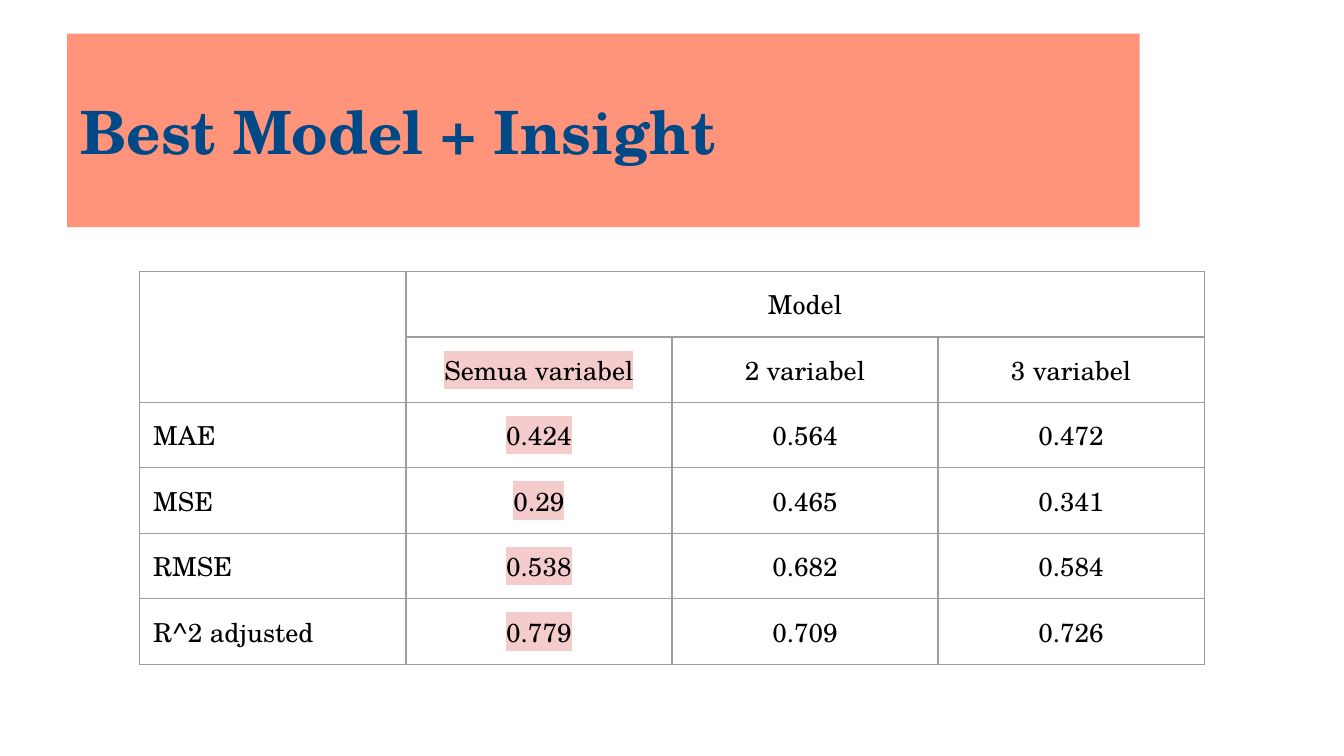
from lxml.etree import SubElement as Sub, Element as Elem
from pptx import Presentation
from pptx.dml.color import RGBColor as Rgb
from pptx.enum.shapes import MSO_SHAPE as Kind
from pptx.enum.text import MSO_ANCHOR as Anchor, PP_ALIGN as Align
from pptx.oxml.ns import qn
from pptx.util import Inches as Inch, Pt

title = "Best Model + Insight"
head = "Model"
names = ["Semua variabel", "2 variabel", "3 variabel"]
best = names[0]
scores = [
    ("MAE", "0.424", "0.564", "0.472"),
    ("MSE", "0.29", "0.465", "0.341"),
    ("RMSE", "0.538", "0.682", "0.584"),
    ("R^2 adjusted", "0.779", "0.709", "0.726"),
]
theme = dict(font="TeX Gyre Schola", band="FF947B", title="004987", text="000000",
             mark="F4CCCC", rule="9E9E9E", big=32, small=14, line=0.75)
size = (10, 10 * 9 / 16)
banner = (0.5, 0.25, 7.98, 1.44)
left, top, wide, high = 1.04, 2.02, 1.98, 0.42
pad = Inch(0.1)
inset = {f"margin_{side}": pad for side in ("left", "right", "top", "bottom")}


def apply(item, fmt):
    for key, val in fmt.items():
        setattr(item, key, val)


def write(frame, text, pts, color, align, bold=False, mark=None):
    para = frame.paragraphs[0]
    para.alignment = align
    if not text:
        end = Sub(para._p, qn("a:endParaRPr"), sz=str(pts * 100))
        Sub(end, qn("a:latin"), typeface=theme["font"])
        return
    run = para.add_run()
    run.text = text
    apply(run.font, dict(size=Pt(pts), name=theme["font"], bold=bold))
    run.font.color.rgb = Rgb.from_string(color)
    if mark:
        glow = Elem(qn("a:highlight"))
        Sub(glow, qn("a:srgbClr"), val=mark)
        run.font._element.find(qn("a:latin")).addprevious(glow)


def border(cell):
    props = cell._tc.get_or_add_tcPr()
    for side in "LRTB":
        line = Sub(props, qn(f"a:ln{side}"), w=str(Pt(theme["line"])))
        fill = Sub(line, qn("a:solidFill"))
        Sub(fill, qn("a:srgbClr"), val=theme["rule"])


deck = Presentation()
apply(deck, dict(zip(("slide_width", "slide_height"), map(Inch, size))))
slide = deck.slides.add_slide(deck.slide_layouts[6])

band = slide.shapes.add_shape(Kind.RECTANGLE, *map(Inch, banner))
band.shadow.inherit = False
band.fill.solid()
band.fill.fore_color.rgb = Rgb.from_string(theme["band"])
band.line.fill.background()
apply(band.text_frame, inset | dict(vertical_anchor=Anchor.MIDDLE, word_wrap=True))
write(band.text_frame, title, theme["big"], theme["title"], Align.LEFT, True)

rows = [("", head, "", ""), ("", *names), *scores]
count, cols = len(rows), len(rows[0])
pick = 1 + names.index(best)
grid = slide.shapes.add_table(
    count, cols, *map(Inch, (left, top, wide * cols, high * count))).table
apply(grid, dict(first_row=False, horz_banding=False))
for r, row in enumerate(rows):
    for c, text in enumerate(row):
        cell = grid.cell(r, c)
        apply(cell, inset | dict(vertical_anchor=Anchor.MIDDLE))
        border(cell)
        cell.fill.background()
        write(cell.text_frame, text, theme["small"], theme["text"],
              Align.CENTER if c else Align.LEFT,
              mark=theme["mark"] if r and c == pick else None)
grid.cell(0, 0).merge(grid.cell(1, 0))
grid.cell(0, 1).merge(grid.cell(0, cols - 1))

deck.save("out.pptx")
